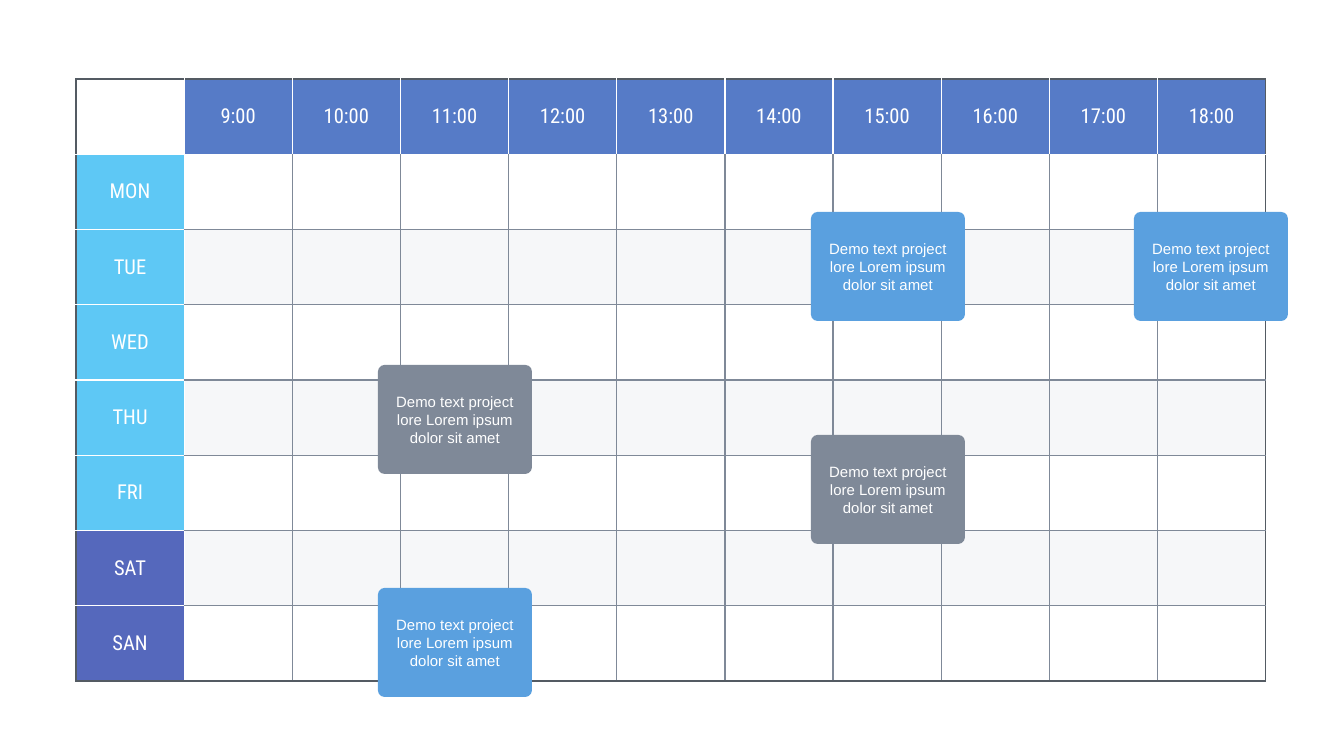
from dataclasses import dataclass

from lxml.etree import SubElement
from pptx import Presentation
from pptx.dml.color import RGBColor
from pptx.enum.shapes import MSO_SHAPE
from pptx.enum.text import MSO_ANCHOR, PP_ALIGN
from pptx.oxml import parse_xml
from pptx.oxml.ns import nsdecls, qn
from pptx.util import Pt


@dataclass(frozen=True)
class Theme:
    white: str = "FFFFFF"
    hour: str = "567BC7"
    weekday: str = "5EC8F5"
    weekend: str = "5568BC"
    stripe: str = "EEF0F4"
    stripe_opacity: int = 50
    grid: str = "7F8998"
    frame: str = "545B63"
    blue_card: str = "5AA0DF"
    gray_card: str = "7F8998"
    label_font: str = "Roboto Condensed"
    label_size: int = 11
    card_font: str = "Arial"
    card_size: int = 8
    border_width: float = 0.75


THEME = Theme()
EMU_PER_PIXEL = 914400 / 134.4
HOURS = [f"{hour}:00" for hour in range(9, 19)]
DAYS = ["MON", "TUE", "WED", "THU", "FRI", "SAT", "SAN"]
WEEKEND_ROW = 6
COLUMN_COUNT = len(HOURS) + 1
ROW_COUNT = len(DAYS) + 1
CARD_TEXT = "Demo text project lore Lorem ipsum dolor sit amet"
CARDS = [
    (811, 212, THEME.blue_card),
    (378, 365, THEME.gray_card),
    (811, 435, THEME.gray_card),
    (378, 588, THEME.blue_card),
    (1134, 212, THEME.blue_card),
]


def px(length):
    return round(length * EMU_PER_PIXEL)


def set_fill(target, color):
    target.fill.solid()
    target.fill.fore_color.rgb = RGBColor.from_string(color)


def set_text(text_frame, text, font_name, size):
    text_frame.text = text
    paragraph = text_frame.paragraphs[0]
    paragraph.alignment = PP_ALIGN.CENTER
    font = paragraph.runs[0].font
    font.name = font_name
    font.size = Pt(size)
    font.color.rgb = RGBColor.from_string(THEME.white)


def set_margins(target, horizontal, vertical):
    target.margin_left = target.margin_right = px(horizontal)
    target.margin_top = target.margin_bottom = px(vertical)


def border_color(row, column, next_row, next_column):
    if not (0 <= next_row < ROW_COUNT and 0 <= next_column < COLUMN_COUNT):
        return THEME.frame
    if 0 in (row, column, next_row, next_column):
        return THEME.white
    return THEME.grid


def set_borders(cell, row, column):
    neighbours = {
        "lnL": (row, column - 1),
        "lnR": (row, column + 1),
        "lnT": (row - 1, column),
        "lnB": (row + 1, column),
    }
    properties = cell._tc.get_or_add_tcPr()
    for index, (tag, neighbour) in enumerate(neighbours.items()):
        color = border_color(row, column, *neighbour)
        border = parse_xml(
            f'<a:{tag} {nsdecls("a")} w="{Pt(THEME.border_width)}">'
            f'<a:solidFill><a:srgbClr val="{color}"/></a:solidFill></a:{tag}>'
        )
        properties.insert(index, border)


def format_label(cell, text, color):
    set_fill(cell, color)
    set_text(cell.text_frame, text, THEME.label_font, THEME.label_size)
    cell.vertical_anchor = MSO_ANCHOR.MIDDLE
    set_margins(cell, 5, 3)


def format_slot(cell, striped):
    if not striped:
        cell.fill.background()
        return
    set_fill(cell, THEME.stripe)
    color = cell._tc.tcPr.find(".//" + qn("a:srgbClr"))
    SubElement(color, qn("a:alpha"), val=str(THEME.stripe_opacity * 1000))


def format_cell(cell, row, column):
    if row == 0 and column > 0:
        format_label(cell, HOURS[column - 1], THEME.hour)
    elif column == 0 and row > 0:
        color = THEME.weekend if row >= WEEKEND_ROW else THEME.weekday
        format_label(cell, DAYS[row - 1], color)
    else:
        format_slot(cell, row > 0 and row % 2 == 0)
    set_borders(cell, row, column)


def add_timetable(slide, left, top, width, height):
    frame = slide.shapes.add_table(
        ROW_COUNT, COLUMN_COUNT, px(left), px(top), px(width), px(height)
    )
    table = frame.table
    table.first_row = False
    table.horz_banding = False
    for table_column in table.columns:
        table_column.width = px(width) // COLUMN_COUNT
    for table_row in table.rows:
        table_row.height = px(height) // ROW_COUNT
    for row in range(ROW_COUNT):
        for column in range(COLUMN_COUNT):
            format_cell(table.cell(row, column), row, column)


def add_card(slide, left, top, color):
    shape = slide.shapes.add_shape(
        MSO_SHAPE.ROUNDED_RECTANGLE, px(left), px(top), px(154), px(109)
    )
    shape.adjustments[0] = 0.06
    shape.shadow.inherit = False
    set_fill(shape, color)
    shape.line.fill.background()
    text_frame = shape.text_frame
    text_frame.word_wrap = True
    text_frame.vertical_anchor = MSO_ANCHOR.MIDDLE
    set_margins(text_frame, 3, 3)
    set_text(text_frame, CARD_TEXT, THEME.card_font, THEME.card_size)


def main():
    presentation = Presentation()
    presentation.slide_width = px(1344)
    presentation.slide_height = px(756)
    slide = presentation.slides.add_slide(presentation.slide_layouts[6])
    add_timetable(slide, 76, 79, 1190, 602)
    for left, top, color in CARDS:
        add_card(slide, left, top, color)
    presentation.save("out.pptx")


if __name__ == "__main__":
    main()
